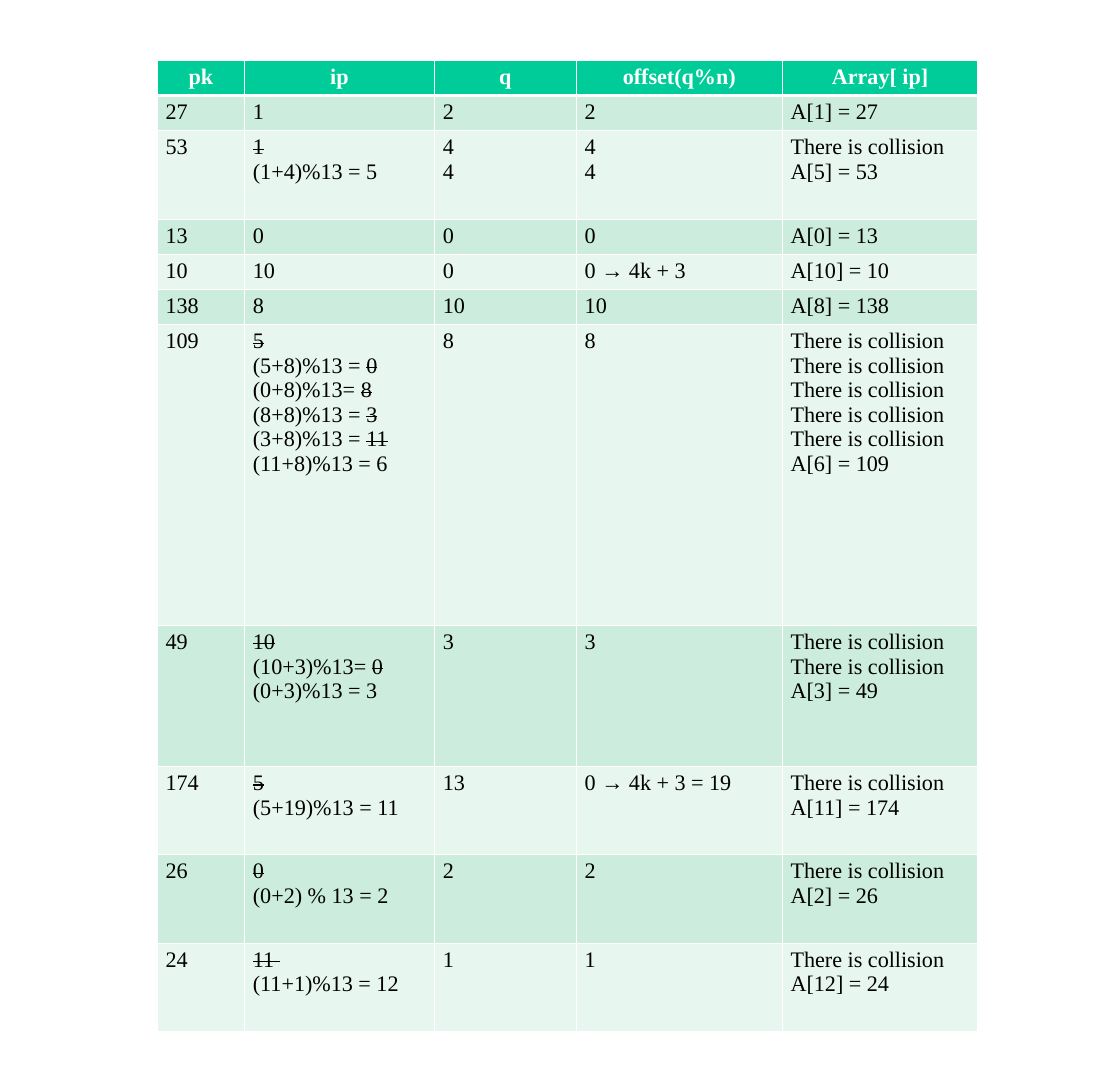
"""Build a slide with a table that traces hash insertion with collisions."""
from lxml import etree
from pptx import Presentation
from pptx.dml.color import RGBColor
from pptx.enum.text import PP_ALIGN
from pptx.oxml.ns import qn
from pptx.util import Inches, Pt

CENTER, LEFT = PP_ALIGN.CENTER, PP_ALIGN.LEFT
THEME = {
    "font": "Times New Roman", "size": 19,
    "head": "00CC99", "bands": ("CCECDE", "E7F6EF"),
    "light": "FFFFFF", "dark": "000000",
}
STRIKE = "~"
HIT = "There is collision"
WIDTHS = (1.04, 2.26, 1.69, 2.45, 2.33)
HEIGHTS = (0.42, 0.42, 1.05, 0.42, 0.42, 0.42, 3.58, 1.68, 1.05, 1.05, 1.05)
ROWS = (
    ("pk", "ip", "q", "offset(q%n)", "Array[ ip]"),
    ("27", "1", "2", "2", "A[1] = 27"),
    ("53", "~1~\n(1+4)%13 = 5", "4\n4", "4\n4", f"{HIT}\nA[5] = 53"),
    ("13", "0", "0", "0", "A[0] = 13"),
    ("10", "10", "0", "0 → 4k + 3", "A[10] = 10"),
    ("138", "8", "10", "10", "A[8] = 138"),
    ("109",
     "~5~\n(5+8)%13 = ~0~\n(0+8)%13= ~8~\n(8+8)%13 = ~3~\n(3+8)%13 = ~11~\n(11+8)%13 = 6",
     "8", "8", f"{HIT}\n" * 5 + "A[6] = 109"),
    ("49", "~10~\n(10+3)%13= ~0~\n(0+3)%13 = 3", "3", "3", f"{HIT}\n" * 2 + "A[3] = 49"),
    ("174", "~5~\n(5+19)%13 = 11", "13", "0 → 4k + 3 = 19", f"{HIT}\nA[11] = 174"),
    ("26", "~0~\n(0+2) % 13 = 2", "2", "2", f"{HIT}\nA[2] = 26"),
    ("24", "~11 ~\n(11+1)%13 = 12", "1", "1", f"{HIT}\nA[12] = 24"),
)


def write(cell, text, color, bold, align):
    frame = cell.text_frame
    for i, line in enumerate(text.split("\n")):
        para = frame.add_paragraph() if i else frame.paragraphs[0]
        para.alignment = align
        for j, part in enumerate(line.split(STRIKE)):
            if not part:
                continue
            run = para.add_run()
            run.text = part
            font = run.font
            font.name, font.size, font.bold = THEME["font"], Pt(THEME["size"]), bold
            font.color.rgb = RGBColor.from_string(color)
            if j % 2:
                font._element.set("strike", "sngStrike")


def edge(cell, side, width):
    line = etree.SubElement(cell._tc.get_or_add_tcPr(), qn(f"a:ln{side}"), w=str(Pt(width)))
    fill = etree.SubElement(line, qn("a:solidFill"))
    etree.SubElement(fill, qn("a:srgbClr"), val=THEME["light"])


deck = Presentation()
deck.slide_width, deck.slide_height = Inches(13.33), Inches(13)
slide = deck.slides.add_slide(deck.slide_layouts[6])
frame = slide.shapes.add_table(
    len(ROWS), len(WIDTHS), Inches(1.87), Inches(0.72),
    Inches(sum(WIDTHS)), Inches(sum(HEIGHTS)))
table = frame.table
for col, width in zip(table.columns, WIDTHS):
    col.width = Inches(width)

for r, (row, height) in enumerate(zip(ROWS, HEIGHTS)):
    table.rows[r].height = Inches(height)
    head = r == 0
    band = THEME["head"] if head else THEME["bands"][(r - 1) % 2]
    color = THEME["light"] if head else THEME["dark"]
    for c, text in enumerate(row):
        cell = table.cell(r, c)
        for side in "LRTB":
            thick = (head and side == "B") or (r == 1 and side == "T")
            edge(cell, side, 3 if thick else 1)
        cell.fill.solid()
        cell.fill.fore_color.rgb = RGBColor.from_string(band)
        write(cell, text, color, head, CENTER if head else LEFT)

deck.save("out.pptx")
